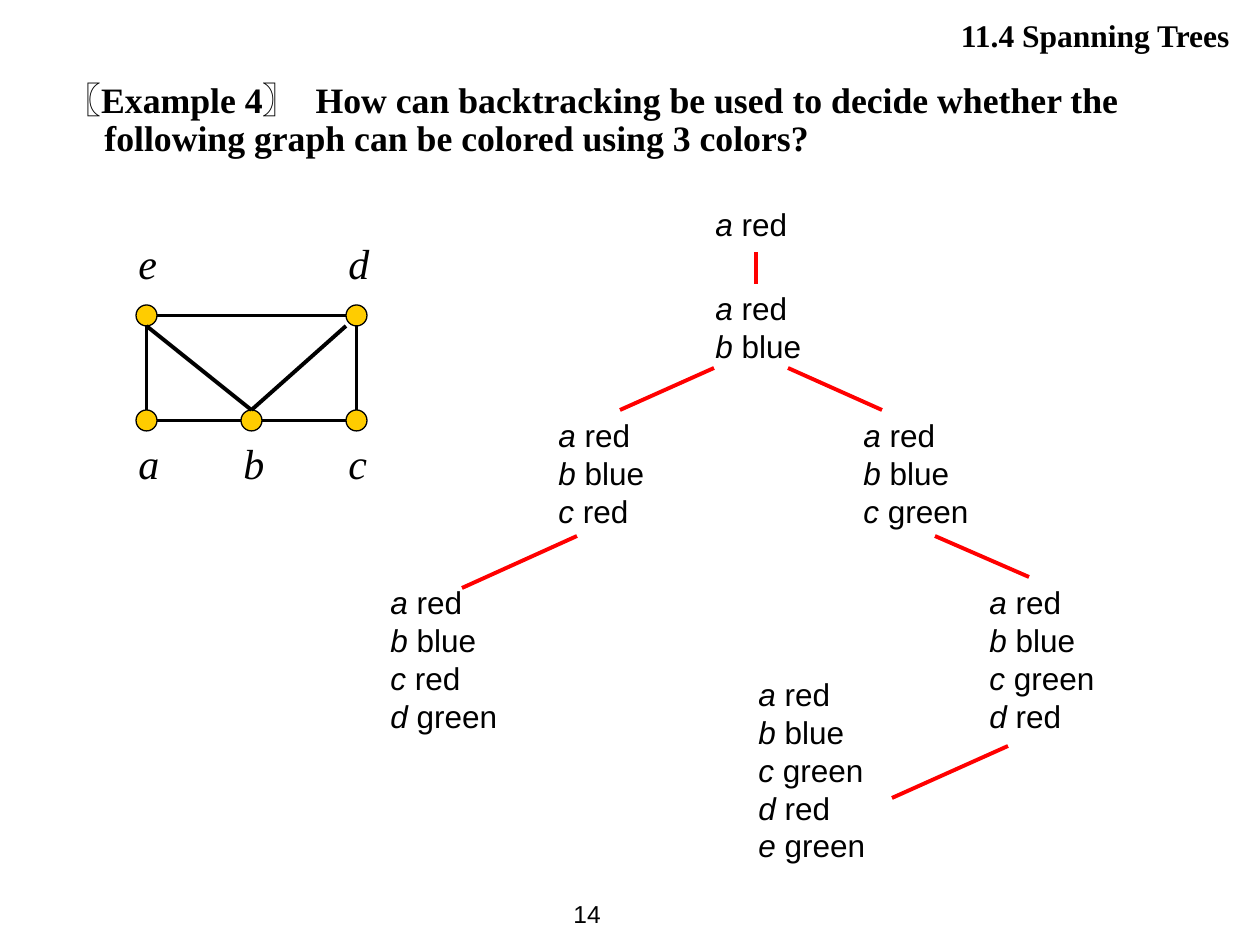
from lxml.etree import SubElement
from pptx import Presentation
from pptx.dml.color import RGBColor
from pptx.enum.shapes import MSO_CONNECTOR, MSO_SHAPE
from pptx.enum.text import MSO_ANCHOR, MSO_AUTO_SIZE, PP_ALIGN
from pptx.oxml.ns import qn
from pptx.util import Emu, Pt

BLACK = RGBColor(0x00, 0x00, 0x00)
RED = RGBColor(0xFF, 0x00, 0x00)
GOLD = RGBColor(0xFF, 0xCC, 0x00)

SERIF = {"name": "Times New Roman"}
SANS = {"name": "Arial"}
HEADER = {**SERIF, "size": Pt(18), "bold": True}
QUESTION = {**SERIF, "size": Pt(20.4), "bold": True}
VERTEX = {**SERIF, "size": Pt(24), "italic": True}
STATE = {**SANS, "size": Pt(18), "italic": False}
VARIABLE = {**STATE, "italic": True}
NUMBER = {**SANS, "size": Pt(14)}


def px(n):
    return Emu(round(n * 914400 / 126))


def set_all(obj, values):
    for name, value in values.items():
        setattr(obj, name, value)


def add_run(p, text, style):
    r = p.add_run()
    r.text = text
    set_all(r.font, style)
    r.font.color.rgb = BLACK
    return r


def add_text(shapes, box, lines, **frame):
    """Each line is a list of (text, style) runs."""
    tf = shapes.add_textbox(*map(px, box)).text_frame
    set_all(tf, {"word_wrap": True, "auto_size": MSO_AUTO_SIZE.SHAPE_TO_FIT_TEXT, **frame})
    for i, runs in enumerate(lines):
        p = tf.paragraphs[0] if i == 0 else tf.add_paragraph()
        for text, style in runs:
            add_run(p, text, style)
    return tf


def add_line(shapes, start, end, color):
    line = shapes.add_connector(MSO_CONNECTOR.STRAIGHT, *map(px, (*start, *end)))
    line.line.color.rgb = color
    line.line.width = Pt(2.25)
    SubElement(line._element.spPr, qn("a:effectLst"))


def add_header(shapes, box):
    tf = add_text(shapes, box, [[("11.4 Spanning Trees", HEADER)]])
    tf.paragraphs[0].alignment = PP_ALIGN.RIGHT


def add_question(shapes, box):
    text = ("How can backtracking be used to decide whether the "
            "following graph can be colored using 3 colors?")
    runs = [("〖Example 4〗", QUESTION), (" ", QUESTION), (text, QUESTION)]
    tf = add_text(shapes, box, [runs], auto_size=MSO_AUTO_SIZE.NONE)
    p = tf.paragraphs[0]
    p.line_spacing = 0.9
    # Hanging indent, and a wider gap after the example label
    pPr = p._p.get_or_add_pPr()
    pPr.set("marL", str(px(48)))
    pPr.set("indent", str(px(-39)))
    p.runs[1]._r.get_or_add_rPr().set("spc", "510")


def add_graph(shapes, box):
    left, top, step, dot = box
    cells = {"e": (0, 0), "d": (2, 0), "a": (0, 1), "c": (2, 1), "b": (1, 1)}
    places = {v: (left + step * col, top + step * row) for v, (col, row) in cells.items()}
    sides = {"top": (0.5, 0), "bottom": (0.5, 1), "left": (0, 0.5),
             "right": (1, 0.5), "corner": (0, 1)}
    edges = [("e", "bottom", "a", "top"), ("a", "right", "b", "left"),
             ("b", "right", "c", "left"), ("c", "top", "d", "bottom"),
             ("e", "right", "d", "left"), ("e", "bottom", "b", "top"),
             ("b", "top", "d", "corner")]

    def anchor(vertex, side):
        return [at + dot * part for at, part in zip(places[vertex], sides[side])]

    # Vertices
    for x, y in places.values():
        sp = shapes.add_shape(MSO_SHAPE.OVAL, *map(px, (x, y, dot, dot)))
        sp.shadow.inherit = False
        sp.fill.solid()
        sp.fill.fore_color.rgb = GOLD
        sp.line.color.rgb = BLACK
        sp.line.width = Pt(0.75)
    # Edges
    for v, v_side, w, w_side in edges:
        add_line(shapes, anchor(v, v_side), anchor(w, w_side), BLACK)
    # Labels above the upper row and below the lower row
    for v, (x, y) in places.items():
        label_top = y - 74 if cells[v][1] == 0 else y + dot
        add_text(shapes, (x - 10, label_top, 53, 63), [[(v, VERTEX)]])


def add_tree(shapes, box):
    left, top = box
    # Partial colorings: x, y, width, colors of a, b, c, ...
    states = [
        (325, 0, 105, "red"),
        (325, 84, 136, "red blue"),
        (168, 211, 136, "red blue red"),
        (0, 378, 158, "red blue red green"),
        (473, 211, 158, "red blue green"),
        (599, 378, 158, "red blue green red"),
        (368, 470, 158, "red blue green red green"),
    ]
    branches = [
        (378, 53, 378, 85), (336, 169, 242, 211), (410, 169, 504, 211),
        (199, 337, 84, 389), (557, 337, 651, 378), (630, 547, 514, 599),
    ]
    for x, y, width, colors in states:
        lines = [[(v, VARIABLE), (" " + color, STATE)]
                 for v, color in zip("abcde", colors.split())]
        height = 12 + 38 * len(lines)
        add_text(shapes, (left + x, top + y, width, height), lines)
    for x1, y1, x2, y2 in branches:
        add_line(shapes, (left + x1, top + y1), (left + x2, top + y2), RED)


def add_page_number(shapes, box):
    add_text(shapes, box, [[("14", NUMBER)]], auto_size=MSO_AUTO_SIZE.NONE,
             vertical_anchor=MSO_ANCHOR.MIDDLE)


def main():
    prs = Presentation()
    prs.slide_width, prs.slide_height = px(1260), px(945)
    s = prs.slides.add_slide(prs.slide_layouts[6])
    add_page_number(s.shapes, (561, 882, 84, 63))
    add_tree(s.shapes, (378, 199))
    add_graph(s.shapes.add_group_shape().shapes, (136, 305, 105, 21))
    add_question(s.shapes, (44, 76, 1153, 100))
    add_header(s.shapes, (501, 10, 741, 50))
    prs.save("out.pptx")


if __name__ == "__main__":
    main()
